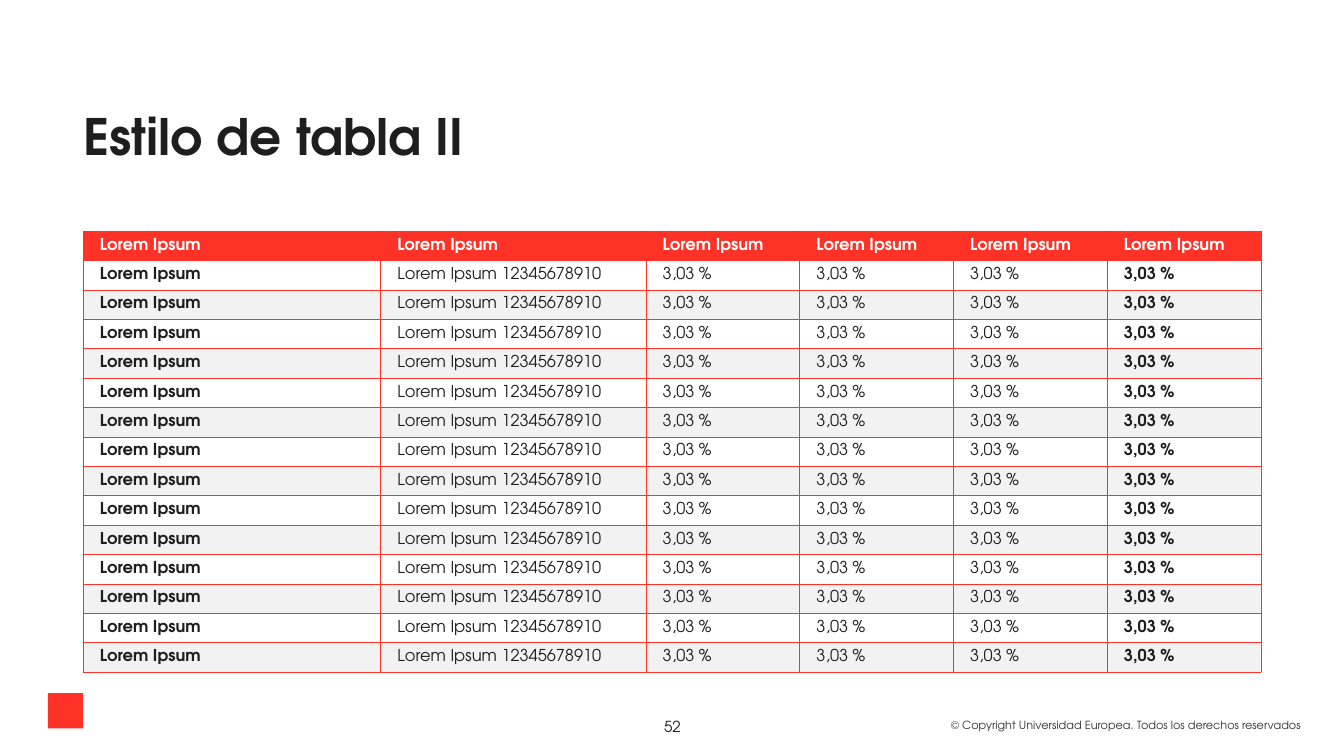
from lxml import etree
from pptx import Presentation
from pptx.dml.color import RGBColor
from pptx.enum.shapes import MSO_SHAPE
from pptx.enum.text import MSO_ANCHOR, PP_ALIGN
from pptx.oxml.ns import qn
from pptx.util import Inches, Pt

RECTANGLE = MSO_SHAPE.RECTANGLE
MIDDLE = MSO_ANCHOR.MIDDLE
LEFT, CENTER = PP_ALIGN.LEFT, PP_ALIGN.CENTER

FONT = "TeX Gyre Adventor"
RED = RGBColor(0xFF, 0x32, 0x28)
INK = RGBColor(0x1E, 0x1E, 0x1E)
COPYRIGHT_GRAY = RGBColor(0x33, 0x33, 0x33)
BAND_GRAY = RGBColor(0xF2, 0xF2, 0xF2)
WHITE = RGBColor(0xFF, 0xFF, 0xFF)

COLUMN_WIDTHS = [3.54, 3.16] + [1.83] * 4
ROW_HEIGHT = 0.35
HEADER = ["Lorem Ipsum"] * 6
BODY_ROW = ["Lorem Ipsum", "Lorem Ipsum 12345678910"] + ["3,03 %"] * 4
ROWS = [HEADER] + [BODY_ROW] * 14
BOLD_COLUMNS = (0, len(COLUMN_WIDTHS) - 1)


def write_text(frame, text, size, color, bold=False, alignment=LEFT):
    paragraph = frame.paragraphs[0]
    paragraph.text = text
    paragraph.alignment = alignment
    paragraph.font.name = FONT
    paragraph.font.size = Pt(size)
    paragraph.font.bold = bold
    paragraph.font.color.rgb = color
    return paragraph


def add_borders(cell):
    """Draw thin red lines on all four sides; call before filling the cell."""
    properties = cell._tc.get_or_add_tcPr()
    for side in ("a:lnL", "a:lnR", "a:lnT", "a:lnB"):
        line = etree.SubElement(properties, qn(side), w=str(Pt(0.5)))
        fill = etree.SubElement(line, qn("a:solidFill"))
        etree.SubElement(fill, qn("a:srgbClr"), val=str(RED))


presentation = Presentation()
presentation.slide_width = Inches(16)
presentation.slide_height = Inches(9)
slide = presentation.slides.add_slide(presentation.slide_layouts[6])

# Footer
copyright_box = slide.shapes.add_textbox(Inches(11.22), Inches(8.5), Inches(4.42), Inches(0.26))
copyright_box.text_frame.word_wrap = False
write_text(
    copyright_box.text_frame,
    "© Copyright Universidad Europea. Todos los derechos reservados",
    9.6,
    COPYRIGHT_GRAY,
)

corner_square = slide.shapes.add_shape(
    RECTANGLE, Inches(0.57), Inches(8.25), Inches(0.42), Inches(0.42)
)
corner_square.shadow.inherit = False
corner_square.fill.solid()
corner_square.fill.fore_color.rgb = RED
corner_square.line.fill.background()

page_number = slide.shapes.add_textbox(Inches(7.66), Inches(8.49), Inches(0.69), Inches(0.43))
page_number.text_frame.word_wrap = True
write_text(page_number.text_frame, "52", 13, INK, alignment=CENTER)

# Title
title = slide.shapes.add_textbox(Inches(0.99), Inches(1.29), Inches(5.77), Inches(0.96))
title.text_frame.word_wrap = True
title.text_frame.margin_left = 0
title_paragraph = write_text(title.text_frame, "Estilo de tabla II", 43, INK, bold=True)
title_paragraph.line_spacing = 0.9

# Table
table = slide.shapes.add_table(
    len(ROWS),
    len(COLUMN_WIDTHS),
    Inches(0.99),
    Inches(2.75),
    Inches(sum(COLUMN_WIDTHS)),
    Inches(ROW_HEIGHT * len(ROWS)),
).table
for column, width in zip(table.columns, COLUMN_WIDTHS):
    column.width = Inches(width)

for row_index, texts in enumerate(ROWS):
    is_header = row_index == 0
    table.rows[row_index].height = Inches(ROW_HEIGHT)
    if is_header:
        fill_color, text_color = RED, WHITE
    else:
        fill_color, text_color = (WHITE if row_index % 2 else BAND_GRAY), INK
    for column_index, text in enumerate(texts):
        cell = table.cell(row_index, column_index)
        cell.vertical_anchor = MIDDLE
        cell.margin_left = Inches(0.2)
        cell.margin_right = 0
        add_borders(cell)
        cell.fill.solid()
        cell.fill.fore_color.rgb = fill_color
        bold = is_header or column_index in BOLD_COLUMNS
        write_text(cell.text_frame, text, 14, text_color, bold)

presentation.save("out.pptx")
